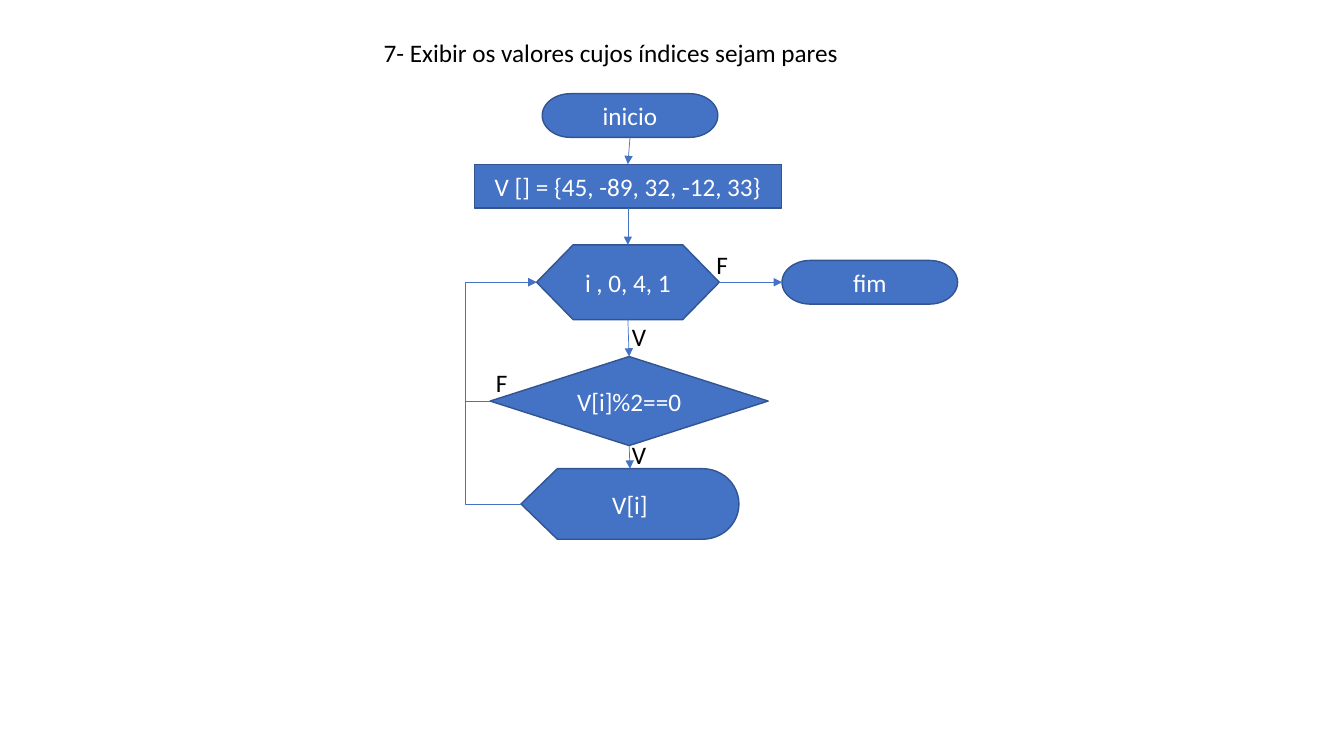
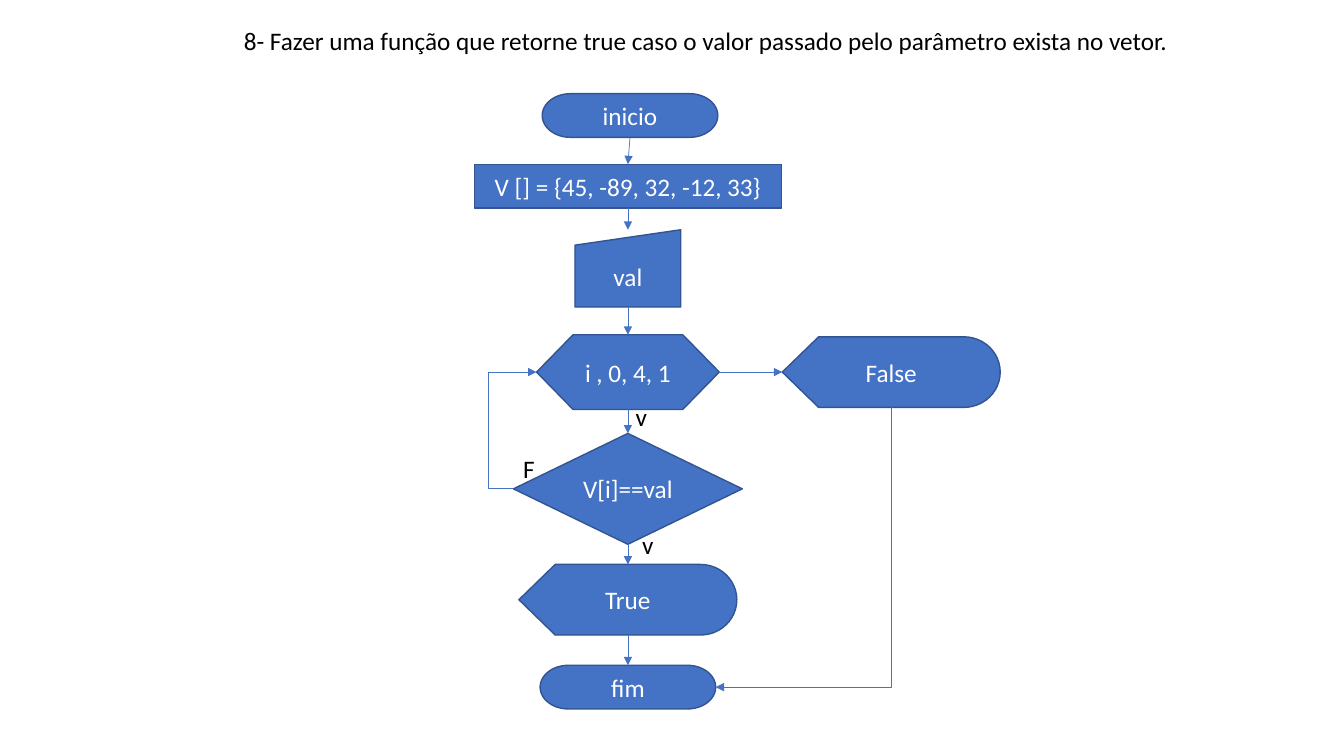
from dataclasses import dataclass

from lxml import etree
from pptx import Presentation
from pptx import util as u
from pptx.dml.color import RGBColor
from pptx.enum import shapes, text
from pptx.oxml.ns import qn

COLUMNS, ROWS = 160, 90
FONT, SIZE = "Calibri", u.Pt(18)
BLUE = RGBColor(0x44, 0x72, 0xC4)
NAVY = RGBColor(0x32, 0x54, 0x91)
WHITE = RGBColor(0xFF, 0xFF, 0xFF)
BLACK = RGBColor(0, 0, 0)

TOP, LEFT, BOTTOM, RIGHT = range(4)
LABEL_WIDTH, TEXT_HEIGHT = 4.2, 4.85

# Kind of step: its outline and its size in columns and rows
KINDS = {
    "terminator": (shapes.MSO_SHAPE.FLOWCHART_TERMINATOR, 20.9, 5.2),
    "process": (shapes.MSO_SHAPE.FLOWCHART_PROCESS, 36.6, 5.2),
    "input": (shapes.MSO_SHAPE.FLOWCHART_MANUAL_INPUT, 12.6, 9.2),
    "loop": (shapes.MSO_SHAPE.FLOWCHART_PREPARATION, 21.75, 8.9),
    "wide test": (shapes.MSO_SHAPE.FLOWCHART_DECISION, 33.1, 10.6),
    "tall test": (shapes.MSO_SHAPE.FLOWCHART_DECISION, 27.25, 13.2),
    "display": (shapes.MSO_SHAPE.FLOWCHART_DISPLAY, 25.95, 8.4),
}

deck = Presentation()
deck.slide_width, deck.slide_height = u.Inches(13.33), u.Inches(7.5)


def col(count):
    """Length of a number of grid columns."""
    return round(deck.slide_width * count / COLUMNS)


def row(count):
    """Length of a number of grid rows."""
    return round(deck.slide_height * count / ROWS)


def write(frame, words, color):
    """Put one run of text in a frame."""
    frame.word_wrap = True
    run = frame.paragraphs[0].add_run()
    run.text = words
    run.font.name, run.font.size = FONT, SIZE
    run.font.color.rgb = color


def add_text(slide, words, left, top, width):
    """Place a line of black text with its corner at a grid point."""
    box = slide.shapes.add_textbox(col(left), row(top), col(width), row(TEXT_HEIGHT))
    write(box.text_frame, words, BLACK)


@dataclass
class Flowchart:
    """Flowchart placed from its vertical axis (column) and its top (row)."""
    slide: object
    axis: float = 74.75
    top: float = 11

    def step(self, kind, words, middle, offset=0):
        """Add a step centred at a row below the top and an offset from the axis."""
        outline, width, height = KINDS[kind]
        step = self.slide.shapes.add_shape(
            outline, col(self.axis + offset - width / 2),
            row(self.top + middle - height / 2), col(width), row(height))
        step.shadow.inherit = False
        step.fill.solid()
        step.fill.fore_color.rgb = BLUE
        step.line.color.rgb, step.line.width = NAVY, u.Pt(1)
        step.text_frame.vertical_anchor = text.MSO_ANCHOR.MIDDLE
        step.text_frame.paragraphs[0].alignment = text.PP_ALIGN.CENTER
        write(step.text_frame, words, WHITE)
        return step

    def arrow(self, start, start_side, end, end_side,
              kind=shapes.MSO_CONNECTOR.STRAIGHT):
        """Join two steps with an arrow glued to the given sides."""
        arrow = self.slide.shapes.add_connector(kind, 0, 0, 0, 0)
        arrow.begin_connect(start, start_side)
        arrow.end_connect(end, end_side)
        arrow.line.color.rgb, arrow.line.width = BLUE, u.Pt(0.5)
        properties = arrow._element.spPr
        etree.SubElement(properties.find(qn("a:ln")), qn("a:tailEnd"), type="triangle")
        etree.SubElement(properties, qn("a:effectLst"))
        return arrow

    def descend(self, *steps):
        """Join steps from top to bottom."""
        for upper, lower in zip(steps, steps[1:]):
            self.arrow(upper, BOTTOM, lower, TOP)

    def loop_back(self, start, end, lane):
        """Return to an earlier step through a lane left of the axis."""
        arrow = self.arrow(start, LEFT, end, LEFT, shapes.MSO_CONNECTOR.ELBOW)
        bend = (col(self.axis + lane) - start.left) / (end.left - start.left)
        geometry = arrow._element.spPr.find(qn("a:prstGeom"))
        etree.SubElement(geometry.find(qn("a:avLst")), qn("a:gd"),
                         name="adj1", fmla=f"val {round(bend * 100000)}")

    def drop_to(self, start, end):
        """Go down from a step and turn left into the side of another."""
        arrow = self.arrow(start, BOTTOM, end, RIGHT, shapes.MSO_CONNECTOR.ELBOW)
        across, down = arrow.width, arrow.height
        center_x, center_y = arrow.left + across // 2, arrow.top + down // 2
        arrow.left, arrow.top = center_x - down // 2, center_y - across // 2
        arrow.width, arrow.height = down, across
        properties = arrow._element.spPr
        properties.find(qn("a:prstGeom")).set("prst", "bentConnector2")
        turn = properties.find(qn("a:xfrm"))
        turn.set("rot", "5400000")
        turn.set("flipH", "0")

    def labels(self, *places):
        """Write branch labels at offsets from the axis and the top."""
        for words, offset, down in places:
            add_text(self.slide, words, self.axis + offset, self.top + down, LABEL_WIDTH)

    def opening(self):
        """Add the start and the vector, the first steps of each exercise."""
        return (self.step("terminator", "inicio", 2.75, 0.25),
                self.step("process", "V [] = {45, -89, 32, -12, 33}", 11.15))


def new_exercise(title, left, top, width):
    """Add a blank slide with its title and return its flowchart."""
    slide = deck.slides.add_slide(deck.slide_layouts[6])
    add_text(slide, title, left, top, width)
    return Flowchart(slide)


def even_indices():
    """Build the exercise that shows the values at even indices."""
    chart = new_exercise("7- Exibir os valores cujos índices sejam pares", 44.5, 3.85, 60.4)
    start, vector = chart.opening()
    loop = chart.step("loop", "i , 0, 4, 1", 22.6)
    test = chart.step("wide test", "V[i]%2==0", 36.75, 0.15)
    value = chart.step("display", "V[i]", 49, 0.25)
    finish = chart.step("terminator", "fim", 22.6, 28.8)
    chart.descend(start, vector, loop, test, value)
    chart.arrow(loop, RIGHT, finish, LEFT)
    for source in (test, value):
        chart.loop_back(source, loop, -19.4)
    chart.labels(("V", -0.7, 26.7), ("V", -0.7, 40.7),
                 ("F", -16.9, 32.1), ("F", 9.35, 18.05))


def value_search():
    """Build the exercise that looks for a value in the vector."""
    chart = new_exercise(
        "8- Fazer uma função que retorne true caso o valor passado pelo "
        "parâmetro exista no vetor.", 27.85, 2.4, 115.5)
    start, vector = chart.opening()
    wanted = chart.step("input", "val", 20.95)
    loop = chart.step("loop", "i , 0, 4, 1", 33.3)
    test = chart.step("tall test", "V[i]==val", 47.2)
    found = chart.step("display", "True", 60.4)
    finish = chart.step("terminator", "fim", 70.8)
    missing = chart.step("display", "False", 33.3, 31.35)
    chart.descend(start, vector, wanted, loop, test, found, finish)
    chart.arrow(loop, RIGHT, missing, LEFT)
    chart.loop_back(test, loop, -16.65)
    chart.drop_to(missing, finish)
    chart.labels(("v", -0.25, 36.15), ("v", 0.5, 51.4), ("F", -13.65, 42.4))


even_indices()
value_search()
deck.save("out.pptx")
